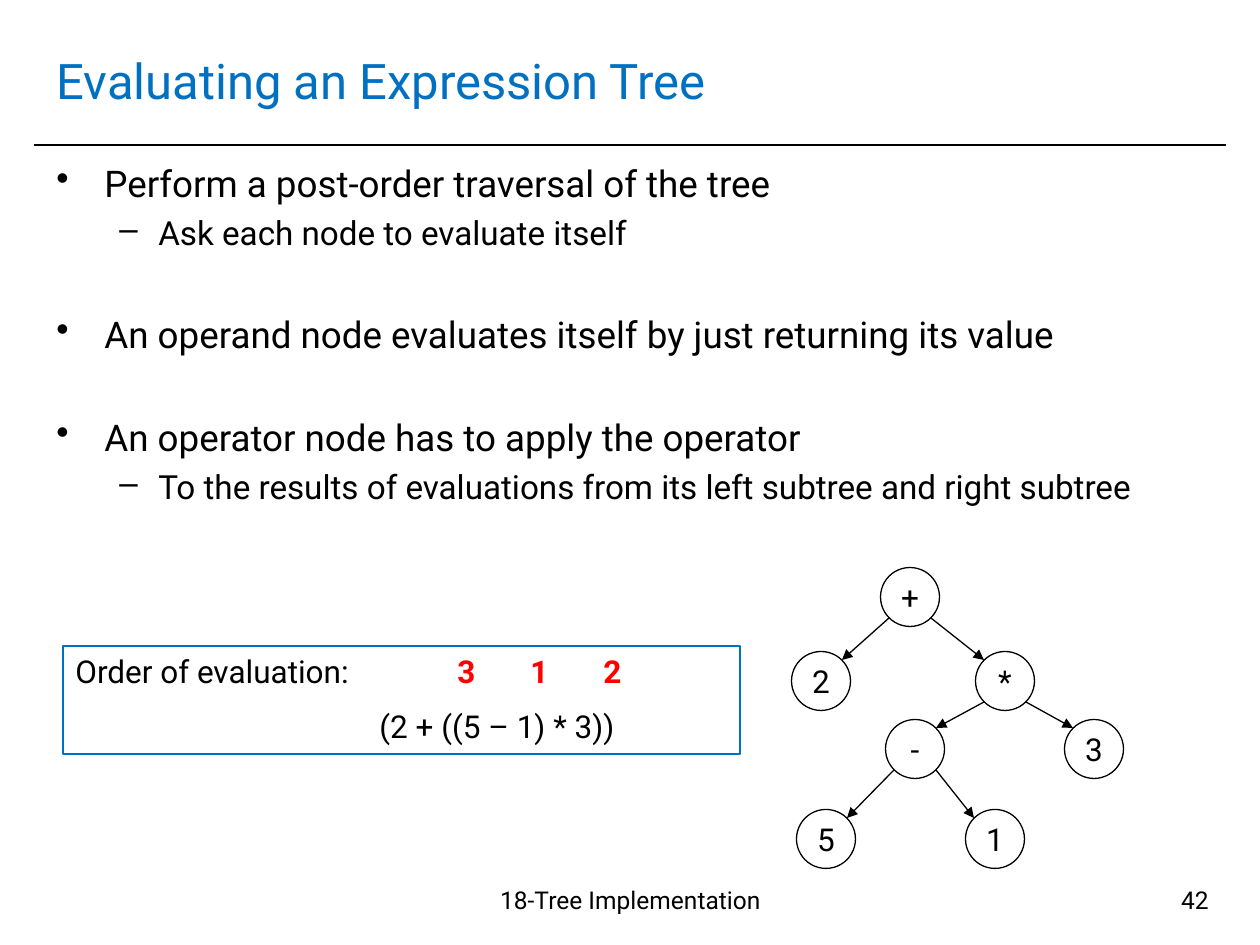
from dataclasses import dataclass

from lxml import etree
from pptx import Presentation
from pptx.dml.color import RGBColor
from pptx.enum.shapes import MSO_CONNECTOR, MSO_SHAPE
from pptx.enum.text import MSO_ANCHOR, PP_ALIGN
from pptx.oxml.ns import qn
from pptx.util import Emu, Pt

STRAIGHT = MSO_CONNECTOR.STRAIGHT
ELLIPSE, RECTANGLE = MSO_SHAPE.OVAL, MSO_SHAPE.RECTANGLE
LEFT, CENTER, RIGHT = PP_ALIGN.LEFT, PP_ALIGN.CENTER, PP_ALIGN.RIGHT
TOP, MIDDLE = MSO_ANCHOR.TOP, MSO_ANCHOR.MIDDLE

PX_PER_INCH = 126
FONT = "Roboto"
BLACK, BLUE, RED = "000000", "0070C0", "FF0000"
NODE_SIZE = 59
NODE_CORNER = 21  # from a node's centre to its outline at 45 degrees


@dataclass
class Bullet:
    text: str
    level: int
    space: int


@dataclass
class Node:
    label: str
    x: int
    y: int


@dataclass
class Footer:
    text: str
    left: int
    width: int
    align: PP_ALIGN


BULLETS = [
    Bullet("Perform a post-order traversal of the tree", 0, 2),
    Bullet("Ask each node to evaluate itself", 1, 4),
    Bullet("An operand node evaluates itself by just returning its value", 0, 34),
    Bullet("An operator node has to apply the operator", 0, 34),
    Bullet("To the results of evaluations from its left subtree and right subtree", 1, 4),
]
# Per level: bullet sign, font size, text indent, hanging indent
LEVELS = [("•", 21, 48, -48), ("–", 19, 102, -39)]

PLUS, TIMES, MINUS = Node("+", 910, 597), Node("*", 1005, 681), Node("-", 915, 749)
TWO, THREE = Node("2", 821, 681), Node("3", 1094, 749)
FIVE, ONE = Node("5", 826, 839), Node("1", 995, 839)
CHILDREN = [(PLUS, TWO, TIMES), (TIMES, MINUS, THREE), (MINUS, FIVE, ONE)]

FOOTERS = [
    Footer("18-Tree Implementation", 422, 417, CENTER),
    Footer("42", 927, 294, RIGHT),
]


def px(length: int) -> Emu:
    return Emu(round(length * 914400 / PX_PER_INCH))


def color(value: str) -> RGBColor:
    return RGBColor.from_string(value)


def apply(target, formats: dict) -> None:
    for name, value in formats.items():
        setattr(target, name, value)


def place(shape, left: int, top: int, width: int, height: int) -> None:
    apply(shape, {"left": px(left), "top": px(top), "width": px(width), "height": px(height)})


def add_span(para, text: str, size: int, ink: str = BLACK, bold: bool = False) -> None:
    span = para.add_run()
    span.text = text
    apply(span.font, {"name": FONT, "size": Pt(size), "bold": bold})
    span.font.color.rgb = color(ink)


def add_text_box(page, left: int, top: int, width: int, height: int):
    frame = page.shapes.add_textbox(*map(px, (left, top, width, height))).text_frame
    frame.word_wrap = True
    return frame


def add_outline(page, kind, bounds: tuple, line_color: str):
    shape = page.shapes.add_shape(kind, *map(px, bounds))
    shape.shadow.inherit = False
    shape.fill.background()
    shape.line.color.rgb = color(line_color)
    shape.line.width = Pt(0.75)
    return shape


def add_line(page, start: tuple, end: tuple, width: float, arrow: bool = False) -> None:
    line = page.shapes.add_connector(STRAIGHT, *map(px, start + end))
    line.line.color.rgb = color(BLACK)
    line.line.width = Pt(width)
    if arrow:
        etree.SubElement(line.line._get_or_add_ln(), qn("a:tailEnd"), type="triangle")
    etree.SubElement(line._element.spPr, qn("a:effectLst"))


def add_title(page) -> None:
    title = page.shapes.title
    place(title, 44, 26, 1171, 107)
    title.text_frame.vertical_anchor = MIDDLE
    para = title.text_frame.paragraphs[0]
    para.alignment = LEFT
    add_span(para, "Evaluating an Expression Tree", 28, BLUE)


def add_bullets(page) -> None:
    frame = add_text_box(page, 44, 155, 1171, 704)
    for index, bullet in enumerate(BULLETS):
        para = frame.add_paragraph() if index else frame.paragraphs[0]
        sign, size, margin, indent = LEVELS[bullet.level]
        apply(para, {"level": bullet.level, "space_before": Pt(bullet.space)})
        properties = para._p.get_or_add_pPr()
        properties.set("marL", str(px(margin)))
        properties.set("indent", str(px(indent)))
        ink = etree.SubElement(properties, qn("a:buClr"))
        etree.SubElement(ink, qn("a:srgbClr"), val=BLACK)
        etree.SubElement(properties, qn("a:buChar"), char=sign)
        add_span(para, bullet.text, size)


def add_node(page, node: Node) -> None:
    half = NODE_SIZE / 2
    bounds = (node.x - half, node.y - half, NODE_SIZE, NODE_SIZE)
    frame = add_outline(page, ELLIPSE, bounds, BLACK).text_frame
    apply(frame, {"word_wrap": False, "vertical_anchor": MIDDLE})
    para = frame.paragraphs[0]
    para.alignment = CENTER
    add_span(para, node.label, 18)


def add_tree(page) -> None:
    add_node(page, PLUS)
    for parent, *children in CHILDREN:
        for child, side in zip(children, (-1, 1)):
            shift = side * NODE_CORNER
            start = (parent.x + shift, parent.y + NODE_CORNER)
            end = (child.x - shift, child.y - NODE_CORNER)
            add_line(page, start, end, 0.75, arrow=True)
            add_node(page, child)


def add_evaluation_order(page) -> None:
    """Number the operators, with tab stops that put each number above its sign."""
    frame = add_outline(page, RECTANGLE, (63, 646, 677, 108), BLUE).text_frame
    apply(frame, {"word_wrap": True, "vertical_anchor": TOP})
    order, expression = frame.paragraphs[0], frame.add_paragraph()
    apply(order, {"alignment": LEFT, "space_before": Pt(1)})
    apply(expression, {"alignment": LEFT, "space_before": Pt(9.5)})

    stops = etree.SubElement(order._p.get_or_add_pPr(), qn("a:tabLst"))
    for column in range(3):
        etree.SubElement(stops, qn("a:tab"), pos=str(px(382 + 73 * column)), algn="l")
    add_span(order, "Order of evaluation:", 18)
    add_span(order, "\t3\t1\t2", 18, RED, bold=True)

    expression._p.get_or_add_pPr().set("marL", str(px(304)))
    add_span(expression, "(2 + ((5 – 1) * 3))", 18)


def add_footer(page, footer: Footer) -> None:
    para = add_text_box(page, footer.left, 879, footer.width, 66).paragraphs[0]
    para.alignment = footer.align
    add_span(para, footer.text, 14)


def main() -> None:
    deck = Presentation()
    apply(deck, {"slide_width": px(1260), "slide_height": px(945)})
    page = deck.slides.add_slide(deck.slide_layouts[5])
    add_line(page, (34, 145), (1226, 145), 1)
    add_title(page)
    add_bullets(page)
    for footer in FOOTERS:
        add_footer(page, footer)
    add_tree(page)
    add_evaluation_order(page)
    deck.save("out.pptx")


if __name__ == "__main__":
    main()
